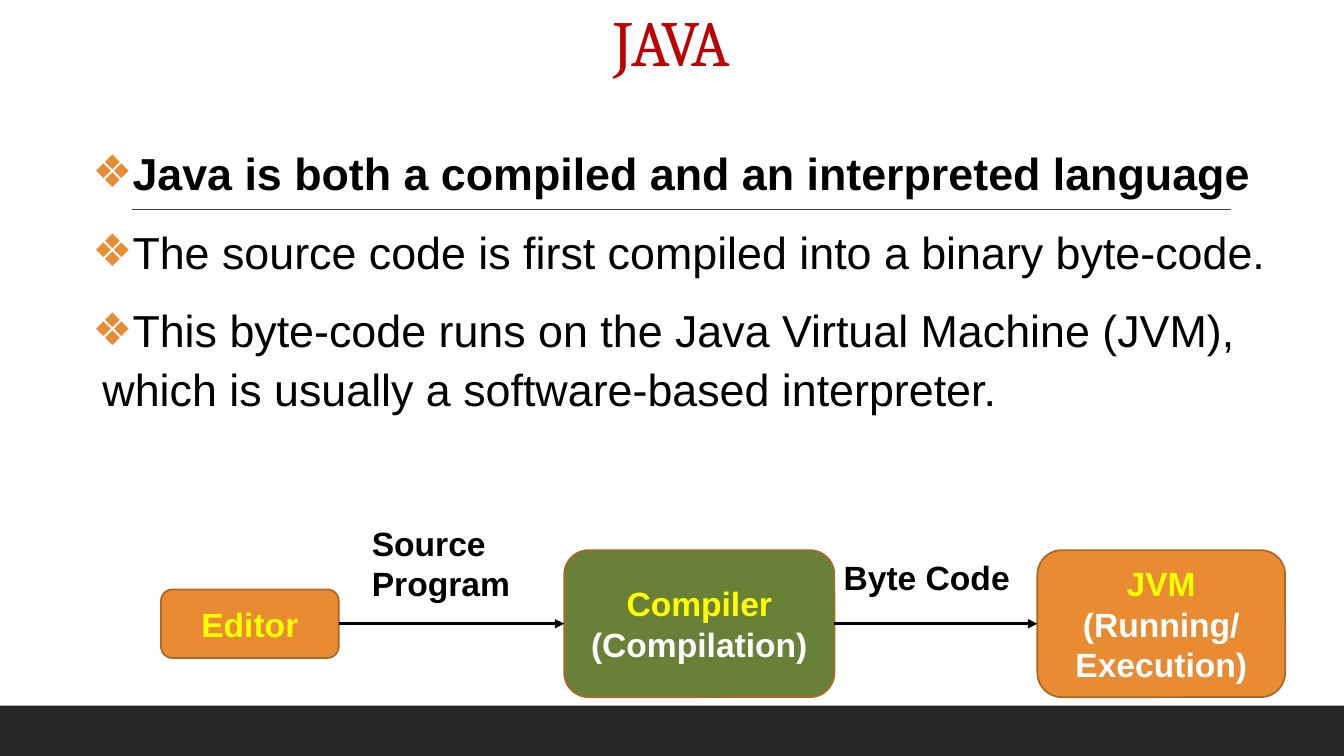
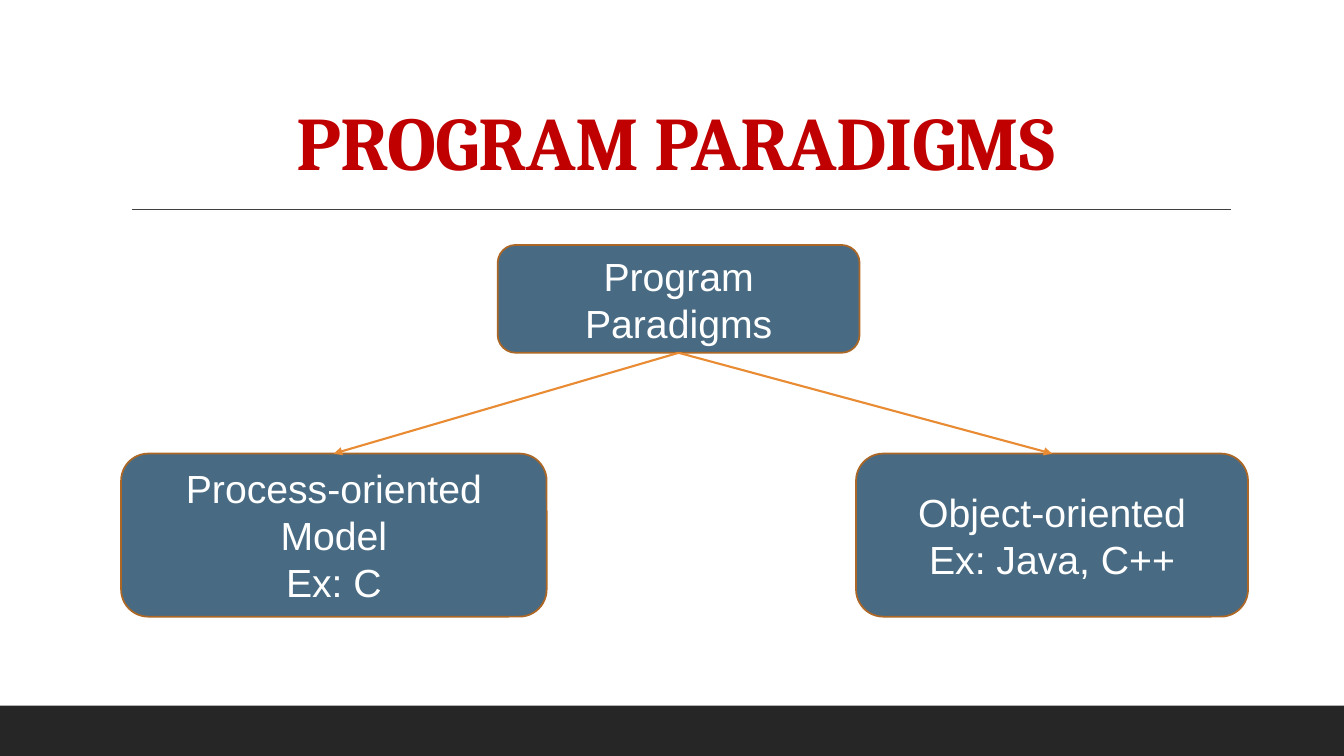
import pptx
import pptx.dml.color
import pptx.enum.shapes
import pptx.enum.text
import pptx.oxml.ns
import pptx.util
from lxml import etree

Pt = pptx.util.Pt
RGBColor = pptx.dml.color.RGBColor
qn = pptx.oxml.ns.qn
ALIGN = pptx.enum.text.PP_ALIGN
ANCHOR = pptx.enum.text.MSO_ANCHOR
SHAPE = pptx.enum.shapes.MSO_SHAPE

BLACK = RGBColor(0x00, 0x00, 0x00)
WHITE = RGBColor(0xFF, 0xFF, 0xFF)
BAND = RGBColor(0x26, 0x26, 0x26)
RULE = RGBColor(0x40, 0x40, 0x40)
RED = RGBColor(0xC0, 0x00, 0x00)
YELLOW = RGBColor(0xFF, 0xFF, 0x00)
ORANGE = RGBColor(0xE8, 0x8B, 0x33)
BROWN = RGBColor(0xAC, 0x67, 0x26)
GREEN = RGBColor(0x69, 0x80, 0x38)
BLUE = RGBColor(0x48, 0x6B, 0x83)
TITLE_FONT = "Cambria"
BODY_FONT = "Arial"
LEFT, BOTTOM, RIGHT, TOP = 1, 2, 3, 0  # connection sites of a box


def add_box(slide, place, fill, lines, size, bold=False):
    """Add a rounded box; lines holds (text, colour) pairs."""
    box = slide.shapes.add_shape(SHAPE.ROUNDED_RECTANGLE, *map(Pt, place))
    box.shadow.inherit = False
    box.fill.solid()
    box.fill.fore_color.rgb = fill
    box.line.color.rgb = BROWN
    box.line.width = Pt(1.25)
    frame = box.text_frame
    frame.text = "\n".join(text for text, colour in lines)
    for paragraph, (text, colour) in zip(frame.paragraphs, lines):
        paragraph.alignment = ALIGN.CENTER
        font = paragraph.runs[0].font
        font.name, font.size, font.bold = BODY_FONT, Pt(size), bold
        font.color.rgb = colour
    return box


def add_line(slide, ends, colour, width, arrow=False):
    line = slide.shapes.add_connector(
        pptx.enum.shapes.MSO_CONNECTOR.STRAIGHT, *map(Pt, ends))
    line.line.color.rgb = colour
    line.line.width = Pt(width)
    properties = line.element.spPr
    if arrow:
        etree.SubElement(properties.find(qn("a:ln")), qn("a:tailEnd"), type="triangle")
    etree.SubElement(properties, qn("a:effectLst"))
    return line


presentation = pptx.Presentation()
presentation.slide_width = Pt(960)
presentation.slide_height = Pt(540)

# Slides and titles: layout, text, place, size, bold
titles = [
    (1, "JAVA", (84, -11, 792, 72), 46, False),
    (5, "PROGRAM PARADIGMS", (86.5, 22, 792, 115), 54, True),
]
for layout, text, place, size, bold in titles:
    slide = presentation.slides.add_slide(presentation.slide_layouts[layout])
    title = slide.shapes.title
    title.left, title.top, title.width, title.height = map(Pt, place)
    frame = title.text_frame
    frame.text = text
    frame.auto_size = pptx.enum.text.MSO_AUTO_SIZE.NONE
    frame.vertical_anchor = ANCHOR.BOTTOM
    paragraph = frame.paragraphs[0]
    paragraph.alignment = ALIGN.CENTER
    paragraph.line_spacing = 0.9
    run = paragraph.runs[0]
    run.font.name, run.font.size, run.font.bold = TITLE_FONT, Pt(size), bold
    run.font.color.rgb = RED
    run.font.element.set("spc", "-50") if hasattr(run.font, "element") else \
        run._r.get_or_add_rPr().set("spc", "-50")
java_slide, paradigm_slide = presentation.slides

# Band and rule, moved to the master so that both slides share them
band = java_slide.shapes.add_shape(SHAPE.RECTANGLE, 0, Pt(504), Pt(960), Pt(36))
band.shadow.inherit = False
band.fill.solid()
band.fill.fore_color.rgb = BAND
band.line.fill.background()
rule = add_line(java_slide, (94.5, 149.5, 879, 149.5), RULE, 1)
for number, shape in enumerate((band, rule)):
    shape.element.xpath(".//p:cNvPr")[0].set("id", str(100 + number))
    presentation.slide_master.element.cSld.spTree.insert(2 + number, shape.element)

# Java: bullets
body = java_slide.placeholders[1]
body.left, body.top, body.width, body.height = map(Pt, (66, 96.5, 842.5, 313))
frame = body.text_frame
frame.auto_size = pptx.enum.text.MSO_AUTO_SIZE.NONE
frame.margin_left = frame.margin_right = 0
frame.text = "\n".join([
    "Java is both a compiled and an interpreted language",
    "The source code is first compiled into a binary byte-code.",
    "This byte-code runs on the Java Virtual Machine (JVM), "
    "which is usually a software-based interpreter.",
])
for index, paragraph in enumerate(frame.paragraphs):
    properties = paragraph._p.get_or_add_pPr()
    properties.set("marL", str(Pt(7.2)))
    properties.set("indent", str(Pt(-7.2)))
    bullet_colour = etree.SubElement(properties, qn("a:buClr"))
    etree.SubElement(bullet_colour, qn("a:srgbClr"), val=str(ORANGE))
    etree.SubElement(properties, qn("a:buChar"), char="❖")
    paragraph.line_spacing = 1.1
    paragraph.space_before = Pt(12 if index else 0)
    paragraph.space_after = Pt(2)
    font = paragraph.runs[0].font
    font.name, font.size, font.bold = BODY_FONT, Pt(32), index == 0
    font.color.rgb = BLACK

# Java: from editor to virtual machine, all boxes on one centre line
CENTRE = 445.5
steps = [
    (115, 127, 49, ORANGE, [("Editor", YELLOW)]),
    (403, 193, 105, GREEN, [("Compiler", YELLOW), ("(Compilation)", WHITE)]),
    (741, 177, 105, ORANGE, [("JVM", YELLOW), ("(Running/ Execution)", WHITE)]),
]
boxes = [
    add_box(java_slide, (left, CENTRE - height / 2, width, height), fill, lines, 24, True)
    for left, width, height, fill, lines in steps
]
for source, target in zip(boxes, boxes[1:]):
    arrow = add_line(java_slide, (0, 0, 0, 0), BLACK, 2.25, arrow=True)
    arrow.begin_connect(source, RIGHT)
    arrow.end_connect(target, LEFT)

labels = [
    ("Source Program", (258.5, 370, 147.5, 65.5)),
    ("Byte Code", (595.5, 394, 135.5, 36)),
]
for text, place in labels:
    label = java_slide.shapes.add_textbox(*map(Pt, place))
    label.text_frame.word_wrap = True
    label.text_frame.text = text
    font = label.text_frame.paragraphs[0].runs[0].font
    font.name, font.size, font.bold = BODY_FONT, Pt(24), True
    font.color.rgb = BLACK

# Program paradigms: one root, two models
root = add_box(paradigm_slide, (355.5, 175, 258.5, 77), BLUE,
               [("Program Paradigms", WHITE)], 28)
models = [
    (86.5, 304, ["Process-oriented Model", "Ex: C"]),
    (611.5, 280, ["Object-oriented", "Ex: Java, C++"]),
]
for left, width, texts in models:
    model = add_box(paradigm_slide, (left, 324, width, 116.5), BLUE,
                    [(text, WHITE) for text in texts], 28)
    arrow = add_line(paradigm_slide, (0, 0, 0, 0), ORANGE, 1.5, arrow=True)
    arrow.begin_connect(root, BOTTOM)
    arrow.end_connect(model, TOP)

presentation.save("out.pptx")
